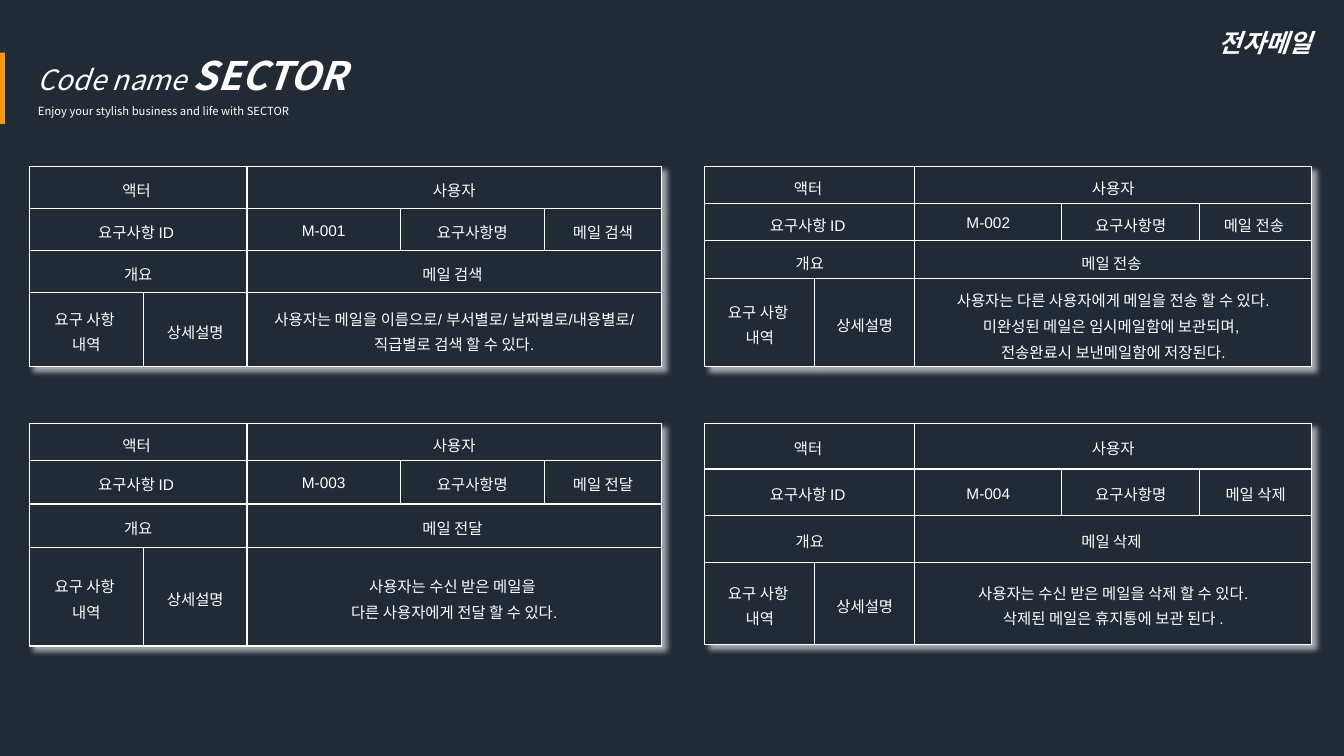
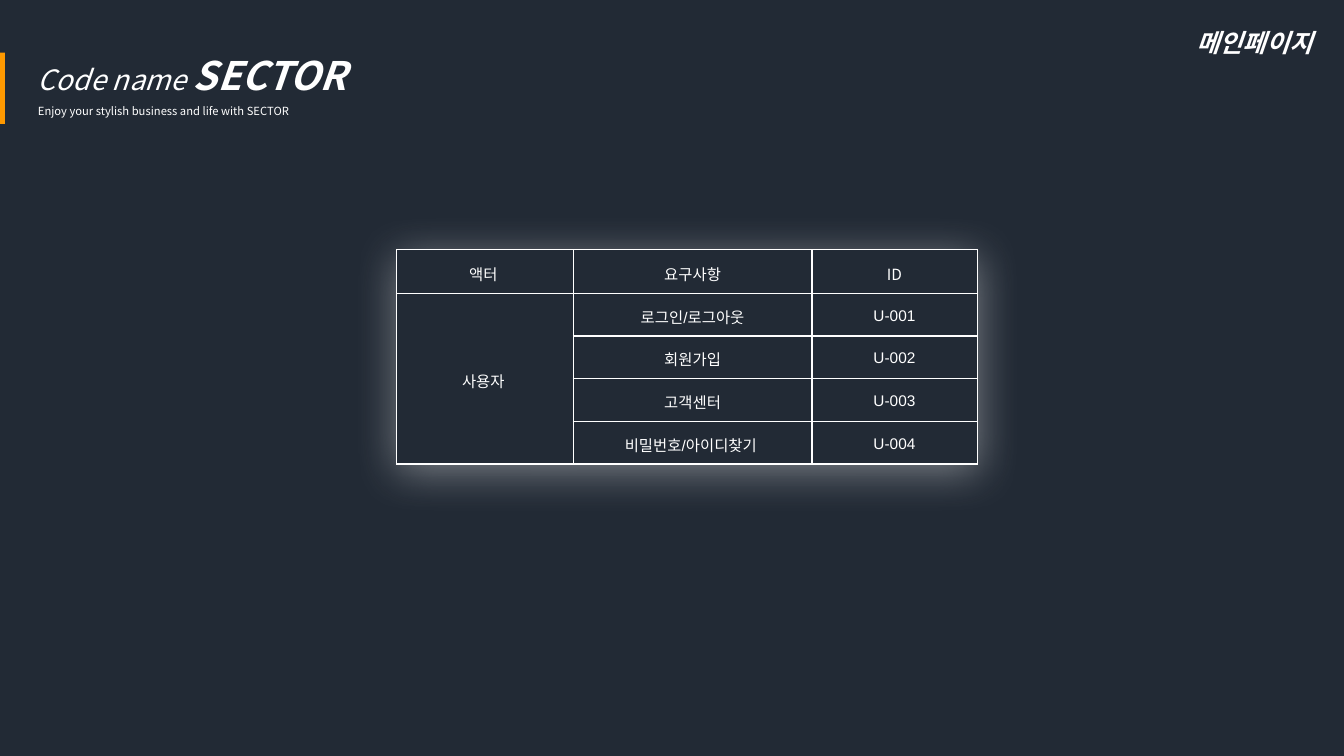
from lxml import etree
from pptx import Presentation
from pptx.dml.color import RGBColor
from pptx.enum import shapes, text
from pptx.oxml import ns
from pptx.util import Pt

NAVY = RGBColor(0x22, 0x2A, 0x35)
ORANGE = RGBColor(0xFF, 0x99, 0x00)
WHITE = RGBColor(0xFF, 0xFF, 0xFF)
SANS, ARIAL = "Noto Sans CJK KR", "Arial"


def sub(parent, tag, **attrs):
    """Append an XML element with the given attributes."""
    el = etree.SubElement(parent, ns.qn(tag))
    for name, value in attrs.items():
        el.set(name, str(value))
    return el


def add_text(p, content, size=11, font=SANS, bold=False, italic=False):
    """Add a formatted run to a paragraph."""
    r = p.add_run()
    r.text = content
    f = r.font
    f.size, f.name, f.bold, f.italic = Pt(size), font, bold, italic
    f.color.rgb = WHITE
    sub(r.font._element, "a:ea", typeface=SANS)


class Deck:
    """Presentation style and the current slide."""

    def __init__(self):
        self.prs = Presentation()
        self.prs.slide_width, self.prs.slide_height = Pt(960), Pt(540)
        fill = self.prs.slide_master.background.fill
        fill.solid()
        fill.fore_color.rgb = NAVY

    def slide(self, title, left):
        self.s = self.prs.slides.add_slide(self.prs.slide_layouts[5])
        self.accent()
        self.brand()
        self.title(title, left)

    def accent(self):
        sp = self.s.shapes.add_shape(
            shapes.MSO_SHAPE.RECTANGLE, 0, Pt(37.5), Pt(3.5), Pt(51))
        sp.shadow.inherit = False
        sp.fill.solid()
        sp.fill.fore_color.rgb = ORANGE
        sp.line.fill.background()

    def brand(self):
        tf = self.s.shapes.add_textbox(Pt(20), Pt(16), Pt(434), Pt(73)).text_frame
        tf.word_wrap = True
        name, slogan = tf.paragraphs[0], tf.add_paragraph()
        name.line_spacing = slogan.line_spacing = 1.5
        add_text(name, "Code name ", size=20, italic=True)
        add_text(name, "SECTOR", size=28, bold=True, italic=True)
        add_text(slogan, "Enjoy your stylish business and life with SECTOR", size=8)

    def title(self, content, left):
        sp = self.s.shapes.title
        sp.left, sp.top = Pt(left), Pt(16)
        sp.width, sp.height = Pt(18 * len(content) + 15), Pt(29)
        tf = sp.text_frame
        tf.word_wrap = False
        tf.auto_size = text.MSO_AUTO_SIZE.SHAPE_TO_FIT_TEXT
        tf.vertical_anchor = text.MSO_ANCHOR.TOP
        p = tf.paragraphs[0]
        p.alignment = text.PP_ALIGN.LEFT
        add_text(p, content, size=18, bold=True, italic=True)

    def table(self, left, top, cols, heights, rows, merges, shadow, head_font=ARIAL):
        """Draw a table; merges lists (row, col, last row, last col)."""
        frame = self.s.shapes.add_table(
            len(rows), len(cols), Pt(left), Pt(top), Pt(sum(cols)), Pt(sum(heights)))
        tbl = frame.table
        tbl.first_row = tbl.horz_banding = False
        for col, width in zip(tbl.columns, cols):
            col.width = Pt(width)
        for row, height in zip(tbl.rows, heights):
            row.height = Pt(height)
        for r0, c0, r1, c1 in merges:
            tbl.cell(r0, c0).merge(tbl.cell(r1, c1))
        for i, row in enumerate(rows):
            for j, content in enumerate(row):
                self.cell(tbl.cell(i, j), content, ARIAL if i else head_font)
        self.table_shadow(tbl, **shadow)

    def cell(self, cell, content, font):
        cell.fill.solid()
        cell.fill.fore_color.rgb = NAVY
        cell.vertical_anchor = text.MSO_ANCHOR.MIDDLE
        cell.margin_left = cell.margin_right = Pt(5)
        cell.margin_top = cell.margin_bottom = Pt(5)
        # Borders come before the fill in the cell properties
        tc_pr = cell._tc.get_or_add_tcPr()
        for i, side in enumerate("LRTB"):
            ln = sub(tc_pr, f"a:ln{side}", w=Pt(1))
            sub(sub(ln, "a:solidFill"), "a:srgbClr", val=WHITE)
            tc_pr.insert(i, ln)
        if content is None:
            return
        tf = cell.text_frame
        for i, line in enumerate(content.split("\n")):
            p = tf.add_paragraph() if i else tf.paragraphs[0]
            p.alignment = text.PP_ALIGN.CENTER
            p.line_spacing = 1.15
            add_text(p, line, font=font)

    def table_shadow(self, tbl, blur, distance, angle, opacity):
        tbl_pr = tbl._tbl.tblPr
        effects = sub(tbl_pr, "a:effectLst")
        tbl_pr.insert(0, effects)
        shadow = sub(effects, "a:outerShdw", blurRad=Pt(blur), dist=Pt(distance),
                     dir=angle * 60000, algn="ctr", rotWithShape=0)
        sub(sub(shadow, "a:srgbClr", val=WHITE), "a:alpha", val=opacity * 1000)

    def requirement(self, left, top, cols, heights, code, name, detail):
        """Draw the form for one requirement."""
        rows = [
            ["액터 ", None, "사용자", None, None],
            ["요구사항 ID ", None, code, "요구사항명", name],
            ["개요", None, f"{name.rstrip()} ", None, None],
            ["요구 사항 \n내역", "상세설명", detail, None, None],
        ]
        merges = [(i, 0, i, 1) for i in range(3)] + [(i, 2, i, 4) for i in (0, 2, 3)]
        self.table(left, top, cols, heights, rows, merges,
                   dict(blur=4, distance=4, angle=45, opacity=60))


LEFT_COLS = [81.5, 74, 109.5, 103, 83.5]
RIGHT_COLS = [78.5, 71.5, 105, 98.5, 80]
LEFT_X, RIGHT_X = 21, 503.5
UPPER_Y, LOWER_Y = 119, 302.5


def main():
    deck = Deck()

    # E-mail requirements
    deck.slide("전자메일", 863.5)
    deck.requirement(
        LEFT_X, UPPER_Y, LEFT_COLS, [30, 30, 30, 53], "M-001", "메일 검색",
        "사용자는 메일을 이름으로/ 부서별로/ 날짜별로/내용별로/ 직급별로 검색 할 수 있다.")
    deck.requirement(
        RIGHT_X, UPPER_Y, RIGHT_COLS, [26.5, 26.5, 27, 63], "M-002", "메일 전송 ",
        "사용자는 다른 사용자에게 메일을 전송 할 수 있다.\n"
        "미완성된 메일은 임시메일함에 보관되며, \n전송완료시 보낸메일함에 저장된다.")
    deck.requirement(
        LEFT_X, LOWER_Y, LEFT_COLS, [26.5, 31, 31, 70.5], "M-003", "메일 전달",
        "사용자는 수신 받은 메일을 \n다른 사용자에게 전달 할 수 있다.")
    deck.requirement(
        RIGHT_X, LOWER_Y, RIGHT_COLS, [32.5, 33.5, 33.5, 58.5], "M-004", "메일 삭제",
        "사용자는 수신 받은 메일을 삭제 할 수 있다.\n삭제된 메일은 휴지통에 보관 된다 .")

    # Main page requirements
    deck.slide("메인페이지", 847.5)
    features = ["로그인/로그아웃", "회원가입", "고객센터", "비밀번호/아이디찾기 "]
    rows = [["액터 ", "요구사항", "ID"]]
    for i, feature in enumerate(features, 1):
        rows.append(["사용자 " if i == 1 else None, feature, f"U-{i:03}"])
    deck.table(283.5, 178.5, [126, 170.5, 118], [31] + [30.5] * 4, rows,
               [(1, 0, 4, 0)], dict(blur=32, distance=5, angle=90, opacity=40),
               head_font=SANS)

    deck.prs.save("out.pptx")


if __name__ == "__main__":
    main()
